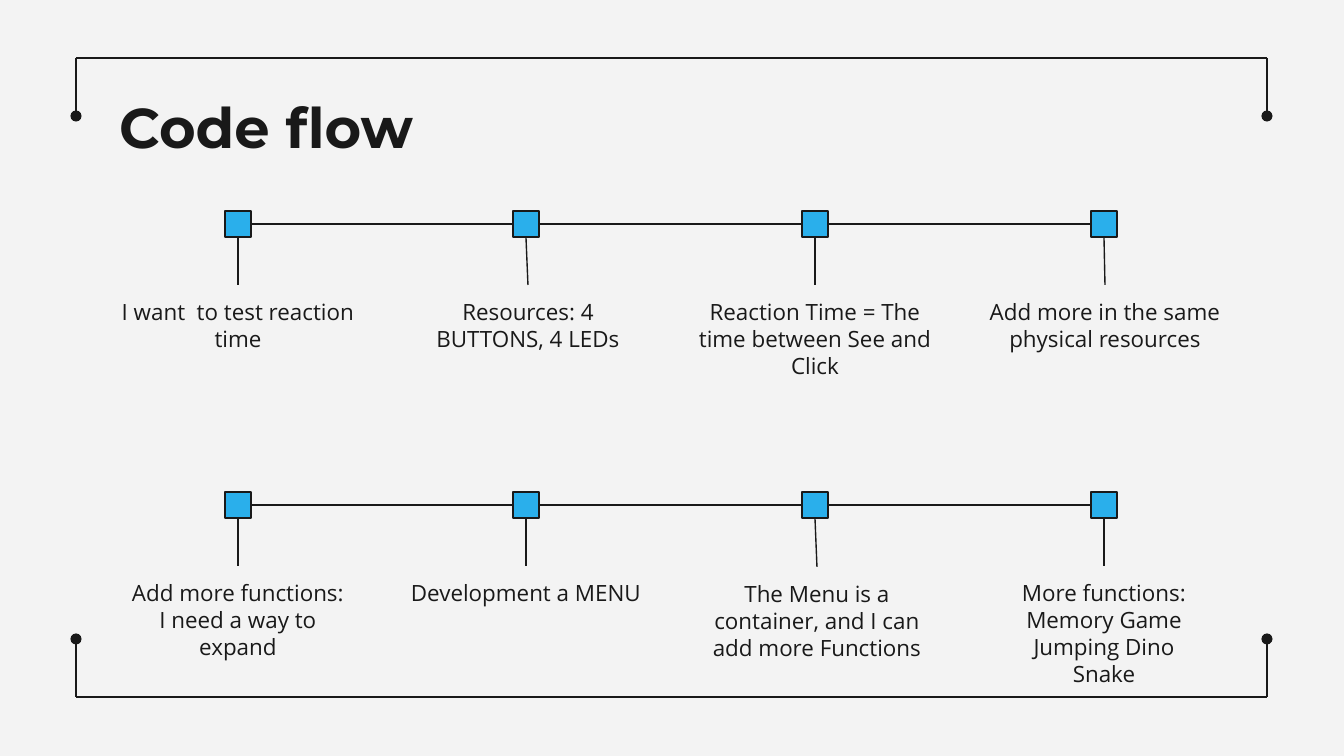
import pptx
import pptx.dml.color
import pptx.enum.shapes
import pptx.enum.text
import pptx.oxml
import pptx.oxml.ns
import pptx.util

SCALE = 914400 / 134.4  # EMU per px
COLORS = {"paper": "F3F3F3", "ink": "191919", "marker": "2AAFEB"}
TITLE = {"name": "Montserrat", "size": pptx.util.Pt(30), "bold": True}
CAPTION = {"name": "Open Sans", "size": pptx.util.Pt(12), "bold": False}
LEFT = pptx.enum.text.PP_ALIGN.LEFT
CENTER = pptx.enum.text.PP_ALIGN.CENTER

# Each step: caption paragraphs and the caption's offset from its marker
PLAN_STEPS = [
    (["I want  to test reaction time"], (0, 0)),
    (["Resources: 4 BUTTONS, 4 LEDs"], (2, 0)),
    (["Reaction Time = The time between See and Click"], (0, 0)),
    (["Add more in the same physical resources"], (1, 0)),
]
MENU_STEPS = [
    (["Add more functions:", "I need a way to expand"], (0, 0)),
    (["Development a MENU"], (0, 0)),
    (["The Menu is a container, and I can add more Functions"], (2, 1)),
    (["More functions:", "Memory Game", "Jumping Dino", "Snake"], (0, 0)),
]


def px(length):
    return pptx.util.Emu(round(length * SCALE))


def color(name):
    return pptx.dml.color.RGBColor.from_string(COLORS[name])


def add_line(page, start, end, dot=False):
    line = page.shapes.add_connector(
        pptx.enum.shapes.MSO_CONNECTOR.STRAIGHT, *map(px, (*start, *end)))
    line.line.color.rgb = color("ink")
    line.line.width = pptx.util.Pt(0.75)
    if dot:
        tail = pptx.oxml.parse_xml(
            f'<a:tailEnd {pptx.oxml.ns.nsdecls("a")} type="oval"/>')
        line.line._get_or_add_ln().append(tail)
    line._element.spPr.append(
        pptx.oxml.parse_xml(f'<a:effectLst {pptx.oxml.ns.nsdecls("a")}/>'))
    return line


def add_text(page, area, paragraphs, font, align):
    box = page.shapes.add_textbox(*map(px, area))
    frame = box.text_frame
    frame.word_wrap = True
    for side in ("left", "top", "right", "bottom"):
        setattr(frame, f"margin_{side}", pptx.util.Inches(0.1))
    for index, words in enumerate(paragraphs):
        para = frame.paragraphs[0] if index == 0 else frame.add_paragraph()
        para.alignment = align
        span = para.add_run()
        span.text = words
        for name, value in font.items():
            setattr(span.font, name, value)
        span.font.color.rgb = color("ink")
    return box


def add_frame(page, left, top, width, height):
    """Open frame whose short side arms end in dots."""
    arm = 58
    for y, reach in ((top, arm), (top + height, -arm)):
        add_line(page, (left, y), (left + width, y))
        for x in (left, left + width):
            add_line(page, (x, y), (x, y + reach), dot=True)


def add_marker(page, left, top, size):
    marker = page.shapes.add_shape(
        pptx.enum.shapes.MSO_SHAPE.RECTANGLE, *map(px, (left, top, size, size)))
    marker.shadow.inherit = False
    marker.fill.solid()
    marker.fill.fore_color.rgb = color("marker")
    marker.line.color.rgb = color("ink")
    marker.line.width = pptx.util.Pt(0.75)
    return marker


def add_timeline(page, left, top, width, steps):
    """Row of linked markers with a caption hanging from each."""
    size, drop, caption_width, caption_height = 26, 74, 266, 55
    half = size // 2
    previous = None
    for index, (words, (shift_x, shift_y)) in enumerate(steps):
        x = left + (width - size) * index // (len(steps) - 1)
        middle = x + half
        marker = add_marker(page, x, top, size)

        # Caption and its stem
        caption_x, caption_y = middle + shift_x, top + drop + shift_y
        caption = add_text(
            page,
            (caption_x - caption_width // 2, caption_y, caption_width, caption_height),
            words, CAPTION, CENTER)
        stem = add_line(page, (middle, top + size), (caption_x, caption_y))
        stem.begin_connect(marker, 2)
        stem.end_connect(caption, 0)

        # Link from the marker before
        if previous is not None:
            link = add_line(page, (left, top + half), (x, top + half))
            link.begin_connect(previous, 3)
            link.end_connect(marker, 1)
        previous = marker


def main():
    deck = pptx.Presentation()
    deck.slide_width, deck.slide_height = px(1344), px(756)
    page = deck.slides.add_slide(deck.slide_layouts[6])
    page.background.fill.solid()
    page.background.fill.fore_color.rgb = color("paper")

    add_frame(page, 76, 58, 1191, 639)
    add_text(page, (106, 79, 1133, 85), ["Code flow"], TITLE, LEFT)
    add_timeline(page, 225, 211, 892, PLAN_STEPS)
    add_timeline(page, 225, 492, 892, MENU_STEPS)
    deck.save("out.pptx")


if __name__ == "__main__":
    main()
